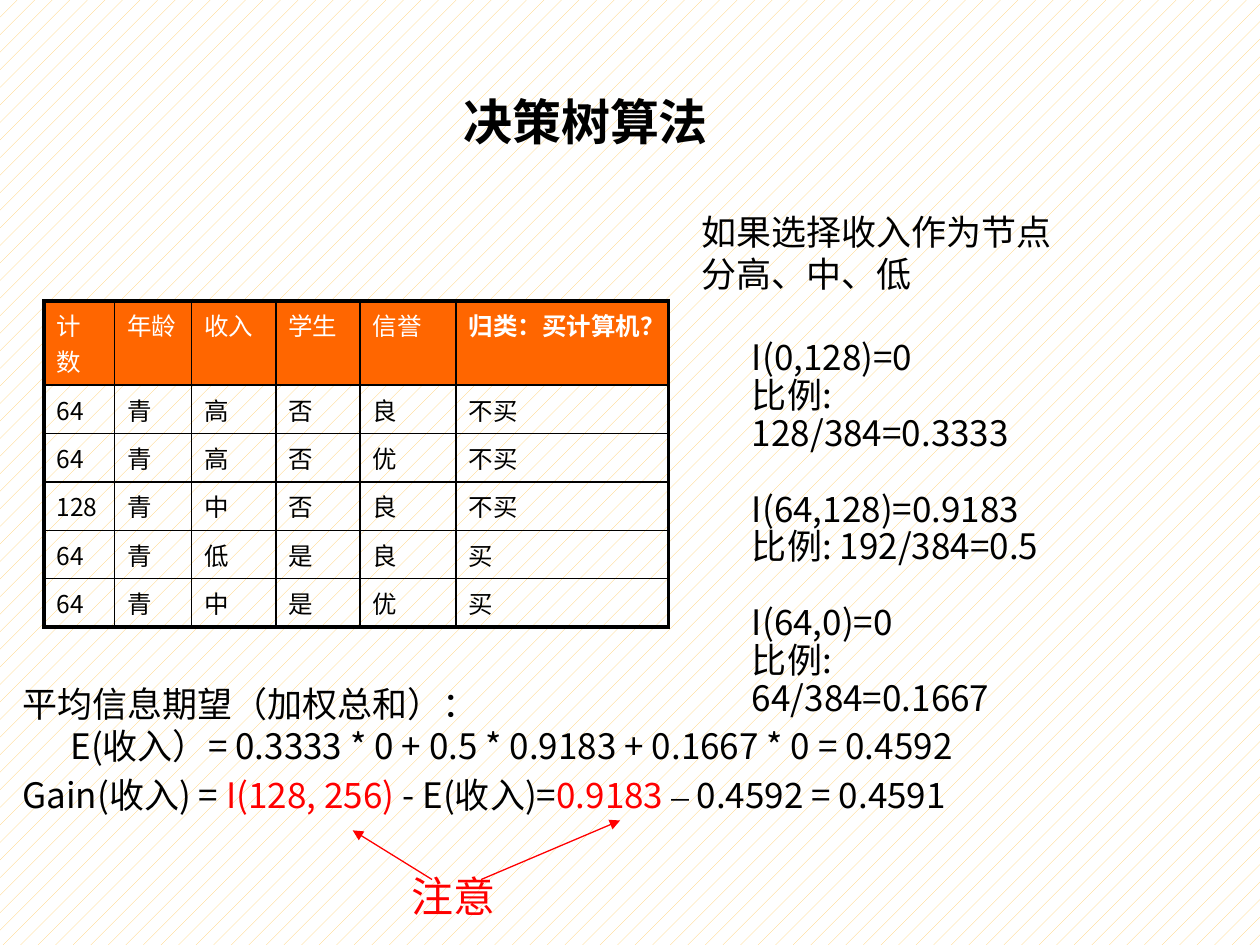
from dataclasses import dataclass
from typing import Optional

from lxml.etree import SubElement
from pptx import Presentation
from pptx.dml.color import RGBColor as Rgb
from pptx.enum.dml import MSO_PATTERN
from pptx.enum.shapes import MSO_CONNECTOR
from pptx.enum.text import MSO_AUTO_SIZE as AutoSize
from pptx.oxml.ns import qn
from pptx.util import Cm, Pt


@dataclass(frozen=True)
class Theme:
    sans: str = "Noto Sans CJK JP"
    serif: str = "Times New Roman"
    black: str = "000000"
    white: str = "FFFFFF"
    red: str = "FF0000"
    orange: str = "FF6600"
    stripe: str = "FFCC66"
    title: int = 28
    note: int = 24
    body: int = 20
    cell: int = 14
    leading: float = 1.2
    thin: float = 1
    thick: float = 2.25
    arrow: float = 0.75


THEME = Theme()


@dataclass(frozen=True)
class Span:
    text: str
    color: str = THEME.black
    font: Optional[str] = None


@dataclass(frozen=True)
class Line:
    spans: tuple[Span, ...]
    before: float = 0


@dataclass(frozen=True)
class TextBlock:
    left: float
    top: float
    width: float
    height: float
    lines: tuple[Line, ...]
    size: int = THEME.body
    font: str = THEME.sans
    bold: bool = False
    wrap: bool = True
    grow: bool = True
    spacing: float = 1
    hanging: float = 0


@dataclass(frozen=True)
class Arrow:
    start: tuple[float, float]
    end: tuple[float, float]


def plain(text: str, before: float = 0, color: str = THEME.black) -> Line:
    return Line((Span(text, color),), before)


LINE_PITCH = 0.9
BLANK_LINE = THEME.body * THEME.leading * LINE_PITCH

BLOCKS = (
    TextBlock(13.89, 4.11, 10.49, 2.79,
              (plain("如果选择收入作为节点"), plain("分高、中、低")), font=THEME.serif),
    TextBlock(0.2, 13.64, 23.29, 3.71, (
        plain("平均信息期望（加权总和）："),
        plain("\tE(收入）= 0.3333 * 0 + 0.5 * 0.9183 + 0.1667 * 0 = 0.4592"),
        Line((Span("Gain(收入) = "), Span("I(128, 256)", THEME.red),
              Span(" - E(收入)="), Span("0.9183 ", THEME.red),
              Span("–", font=THEME.serif), Span(" 0.4592 = 0.4591")), before=4),
    ), grow=False, hanging=0.97),
    TextBlock(14.91, 6.73, 6.58, 7.87, (
        plain("I(0,128)=0"), plain("比例: 128/384=0.3333"),
        plain("I(64,128)=0.9183", BLANK_LINE), plain("比例: 192/384=0.5"),
        plain("I(64,0)=0", BLANK_LINE), plain("比例: 64/384=0.1667"),
    ), spacing=LINE_PITCH),
    TextBlock(8.05, 17.42, 2.21, 1.27, (plain("注意", color=THEME.red),),
              size=THEME.note, font=THEME.serif, wrap=False),
    TextBlock(9.09, 1.73, 5.46, 1.45, (plain("决策树算法"),),
              size=THEME.title, font=THEME.serif, bold=True, wrap=False),
)

ARROWS = (
    Arrow((8.71, 17.73), (7.11, 16.74)),
    Arrow((9.7, 17.73), (12.5, 16.54)),
)

TABLE_ROWS = (
    ("计数", "年龄", "收入", "学生", "信誉", "归类：买计算机？"),
    ("64", "青", "高", "否", "良", "不买"),
    ("64", "青", "高", "否", "优", "不买"),
    ("128", "青", "中", "否", "良", "不买"),
    ("64", "青", "低", "是", "良", "买"),
    ("64", "青", "中", "是", "优", "买"),
)
COLUMN_WIDTHS = (1.42, 1.55, 1.7, 1.7, 1.93, 4.29)
HEADER_HEIGHT, ROW_HEIGHT = 1.45, 0.88


def style_run(run, size: int, font: str, color: str, bold: bool = False) -> None:
    run.font.size = Pt(size)
    run.font.name = font
    run.font.bold = bold
    run.font.color.rgb = Rgb.from_string(color)


def draw_text(page, block: TextBlock) -> None:
    box = page.shapes.add_textbox(Cm(block.left), Cm(block.top),
                                  Cm(block.width), Cm(block.height))
    frame = box.text_frame
    frame.text = "\n".join("".join(span.text for span in line.spans)
                           for line in block.lines)
    frame.word_wrap = block.wrap
    frame.auto_size = AutoSize.SHAPE_TO_FIT_TEXT if block.grow else AutoSize.NONE
    for para, line in zip(frame.paragraphs, block.lines):
        para.line_spacing = Pt(block.size * THEME.leading * block.spacing)
        para.space_before = Pt(line.before)
        if block.hanging:
            indent = Cm(block.hanging)
            properties = para._p.get_or_add_pPr()
            properties.set("marL", str(indent))
            properties.set("indent", str(-indent))
        para.clear()
        for span in line.spans:
            run = para.add_run()
            run.text = span.text
            style_run(run, block.size, span.font or block.font, span.color, block.bold)


def set_border(cell, side: str, width: float) -> None:
    """Add one cell edge; call before the cell's fill is set, as edges come first."""
    edge = SubElement(cell._tc.get_or_add_tcPr(), qn(f"a:ln{side}"), w=str(Pt(width)))
    fill = SubElement(edge, qn("a:solidFill"))
    SubElement(fill, qn("a:srgbClr"), val=THEME.black)


def draw_table(page, left: float, top: float) -> None:
    row_count, column_count = len(TABLE_ROWS), len(COLUMN_WIDTHS)
    height = HEADER_HEIGHT + ROW_HEIGHT * (row_count - 1)
    table = page.shapes.add_table(row_count, column_count, Cm(left), Cm(top),
                                  Cm(sum(COLUMN_WIDTHS)), Cm(height)).table
    table.first_row = table.horz_banding = False
    for column, width in zip(table.columns, COLUMN_WIDTHS):
        column.width = Cm(width)
    for r, values in enumerate(TABLE_ROWS):
        header = r == 0
        table.rows[r].height = Cm(HEADER_HEIGHT if header else ROW_HEIGHT)
        for c, value in enumerate(values):
            cell = table.cell(r, c)
            last_column = c == column_count - 1
            outer = {"L": c == 0, "R": last_column,
                     "T": header, "B": r == row_count - 1}
            for side, is_outer in outer.items():
                set_border(cell, side, THEME.thick if is_outer else THEME.thin)
            if header:
                cell.fill.solid()
                cell.fill.fore_color.rgb = Rgb.from_string(THEME.orange)
            else:
                cell.fill.background()
            cell.text_frame.text = value
            para = cell.text_frame.paragraphs[0]
            para.space_before = Pt(THEME.cell * 0.2)
            style_run(para.runs[0], THEME.cell, THEME.sans,
                      THEME.white if header else THEME.black, header and last_column)


def draw_arrow(page, arrow: Arrow) -> None:
    points = (Cm(value) for value in arrow.start + arrow.end)
    connector = page.shapes.add_connector(MSO_CONNECTOR.STRAIGHT, *points)
    connector.line.color.rgb = Rgb.from_string(THEME.red)
    connector.line.width = Pt(THEME.arrow)
    SubElement(connector.line._get_or_add_ln(), qn("a:tailEnd"), type="triangle")
    SubElement(connector._element.spPr, qn("a:effectLst"))


def paint_background(page) -> None:
    fill = page.background.fill
    fill.patterned()
    fill.pattern = MSO_PATTERN.PERCENT_5
    fill.fore_color.rgb = Rgb.from_string(THEME.stripe)
    fill.back_color.rgb = Rgb.from_string(THEME.white)


def main() -> None:
    deck = Presentation()
    deck.slide_width, deck.slide_height = Cm(25.4), Cm(19.05)
    page = deck.slides.add_slide(deck.slide_layouts[6])
    paint_background(page)
    draw_table(page, 0.89, 6.07)
    for block in BLOCKS:
        draw_text(page, block)
    for arrow in ARROWS:
        draw_arrow(page, arrow)
    deck.save("out.pptx")


if __name__ == "__main__":
    main()
